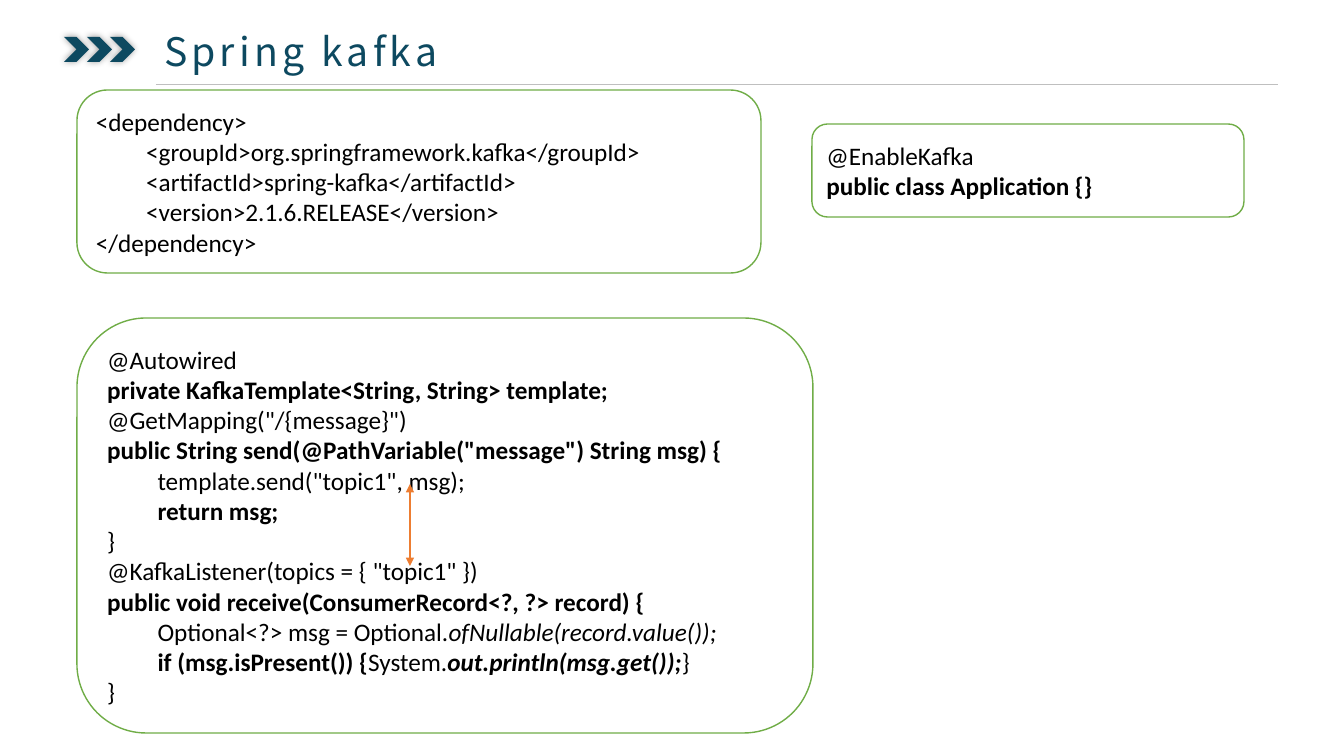
from lxml.etree import SubElement
from pptx import Presentation
from pptx.dml.color import RGBColor
from pptx.enum.shapes import MSO_CONNECTOR as Connector, MSO_SHAPE as Preset
from pptx.enum.text import MSO_ANCHOR as Anchor, PP_ALIGN as Align
from pptx.oxml.ns import qn
from pptx.util import Emu, Pt

COLORS = {
    "navy": "0D4960",
    "green": "70AD47",
    "orange": "ED7D31",
    "gray": "BFBFBF",
    "white": "FFFFFF",
    "black": "000000",
}
CODE_FONT = "Calibri"
TITLE_FONT = "Noto Sans CJK JP"

DEPENDENCY = [
    [("<dependency>", "")],
    [("\t<groupId>org.springframework.kafka</groupId>", "")],
    [("\t<artifactId>spring-kafka</artifactId>", "")],
    [("\t<version>2.1.6.RELEASE</version>", "")],
    [("</dependency>", "")],
]
APPLICATION = [
    [("@EnableKafka", "")],
    [("public class Application {}", "b")],
]
MESSAGING = [
    [("@Autowired", "")],
    [("private KafkaTemplate<String, String> template;", "b")],
    [('@GetMapping("/{message}")', "")],
    [('public String send(@PathVariable("message") String msg) {', "b")],
    [('\ttemplate.send("topic1", msg);', "")],
    [("\treturn msg;", "b")],
    [("}", "")],
    [('@KafkaListener(topics = { "topic1" })', "")],
    [("public void receive(ConsumerRecord<?, ?> record) {", "b")],
    [("\tOptional<?> msg = Optional.", ""), ("ofNullable(record.value());", "i")],
    [("\tif (msg.isPresent()) {", "b"), ("System.", ""),
     ("out.println(msg.get());", "bi"), ("}", "")],
    [("}", "")],
]


def px(count):
    return Emu(round(count * 914400 / 100.8))


def color(name):
    return RGBColor.from_string(COLORS[name])


def add_span(para, text, *, font, size, ink, style="", spacing=0):
    span = para.add_run()
    span.text = text
    span.font.name = font
    span.font.size = Pt(size)
    span.font.bold = "b" in style
    span.font.italic = "i" in style
    span.font.color.rgb = color(ink)
    properties = span.font._element
    SubElement(properties, qn("a:ea")).set("typeface", font)
    if spacing:
        properties.set("spc", str(spacing * 100))


def add_chevron(page, left, top, side):
    chevron = page.shapes.add_shape(Preset.CHEVRON, px(left), px(top), px(side), px(side))
    chevron.fill.solid()
    chevron.fill.fore_color.rgb = color("navy")
    chevron.line.fill.background()
    effects = SubElement(chevron._element.spPr, qn("a:effectLst"))
    shadow = SubElement(effects, qn("a:outerShdw"), blurRad=str(Pt(5)), dist="0", dir="0")
    tint = SubElement(shadow, qn("a:srgbClr"), val=COLORS["black"])
    SubElement(tint, qn("a:alpha"), val="40000")


def add_title(page, text, left, top, width, height):
    box = page.shapes.add_textbox(px(left), px(top), px(width), px(height))
    frame = box.text_frame
    frame.word_wrap = True
    frame.margin_left = frame.margin_right = px(8)
    frame.margin_top = frame.margin_bottom = px(4)
    add_span(frame.paragraphs[0], text, font=TITLE_FONT, size=28, ink="navy", spacing=3)


def add_code_box(page, lines, left, top, width, height):
    box = page.shapes.add_shape(
        Preset.ROUNDED_RECTANGLE, px(left), px(top), px(width), px(height))
    box.shadow.inherit = False
    box.fill.solid()
    box.fill.fore_color.rgb = color("white")
    box.line.color.rgb = color("green")
    box.line.width = Pt(1)
    frame = box.text_frame
    frame.word_wrap = True
    frame.vertical_anchor = Anchor.MIDDLE
    for index, line in enumerate(lines):
        para = frame.add_paragraph() if index else frame.paragraphs[0]
        para.alignment = Align.LEFT
        for text, style in line:
            add_span(para, text, font=CODE_FONT, size=18, ink="black", style=style)


def add_line(page, start, end, ink, weight, arrows=False):
    line = page.shapes.add_connector(Connector.STRAIGHT, *map(px, start + end))
    line.line.color.rgb = color(ink)
    line.line.width = Pt(weight)
    SubElement(line._element.spPr, qn("a:effectLst"))
    if arrows:
        stroke = line.line._get_or_add_ln()
        for tip in ("a:headEnd", "a:tailEnd"):
            SubElement(stroke, qn(tip), type="triangle")


def main():
    deck = Presentation()
    deck.slide_width, deck.slide_height = px(1344), px(756)
    page = deck.slides.add_slide(deck.slide_layouts[6])

    for index in range(3):
        add_chevron(page, 64 + 23 * index, 37, 25)
    add_title(page, "Spring kafka", 156, 23, 585, 55)
    add_line(page, (156, 84), (1278, 84), "gray", 0.5)

    add_code_box(page, DEPENDENCY, 77, 90, 684, 183)
    add_code_box(page, APPLICATION, 812, 124, 432, 93)
    add_code_box(page, MESSAGING, 77, 318, 736, 415)
    add_line(page, (410, 484), (410, 566), "orange", 1.5, arrows=True)

    deck.save("out.pptx")


if __name__ == "__main__":
    main()
